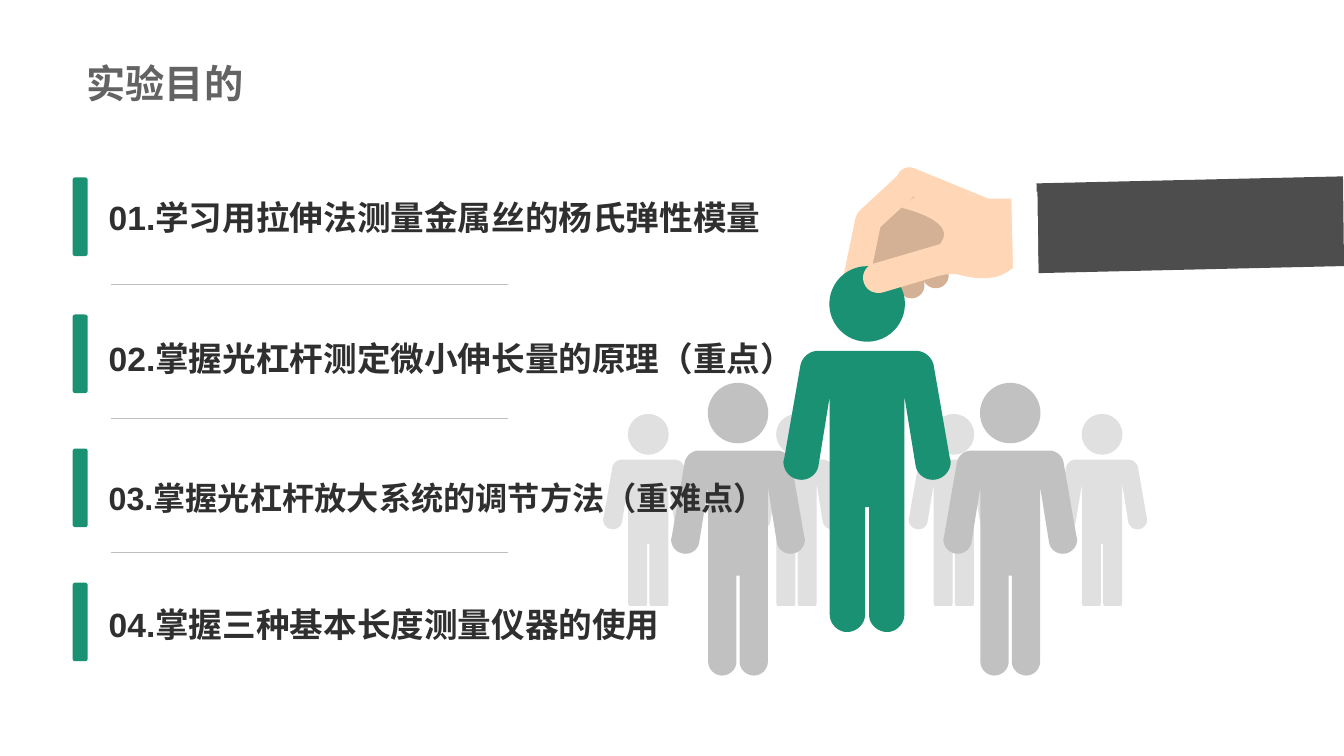
"""Build the slide on the aims of the experiment."""
from dataclasses import dataclass
from math import atan2, degrees, hypot

from pptx import Presentation
from pptx.dml.color import RGBColor
from pptx.enum import shapes as kinds, text as texts
from pptx.oxml import xmlchemy as xml
from pptx.util import Inches, Pt


@dataclass(frozen=True)
class Theme:
    """Colours, fonts and type sizes."""
    green: str = "1A9173"
    dark: str = "4D4D4D"
    mid: str = "C1C1C1"
    pale: str = "E0E0E0"
    skin: str = "FFD7B7"
    shade: str = "D4B194"
    white: str = "FFFFFF"
    rule: str = "BFBFBF"
    ink: str = "2F2F2F"
    head: str = "636363"
    latin: str = "Arial"
    asian: str = "Noto Sans CJK SC"
    title: int = 28


LOOK = Theme()
TITLE = "实验目的"
AIMS = [
    ("01.", "学习用拉伸法测量金属丝的杨氏弹性模量", 24, 1.76, 1.97),
    ("02.", "掌握光杠杆测定微小伸长量的原理（重点）", 24, 3.12, 3.37),
    ("03.", "掌握光杠杆放大系统的调节方法（重难点）", 23, 4.45, 4.75),
    ("04.", "掌握三种基本长度测量仪器的使用", 24, 5.78, 6.01),
]
BODY = [
    (0, 0), (0.48, 0), (0.57, 0, 0.64, 0.06, 0.66, 0.14), (0.82, 1.06),
    (0.83, 1.1), (0.83, 1.2, 0.75, 1.28, 0.65, 1.28),
    (0.57, 1.28, 0.49, 1.22, 0.48, 1.13), (0.37, 0.45), (0.37, 2.62),
    (0.37, 2.71, 0.29, 2.79, 0.2, 2.79), (0.1, 2.79, 0.02, 2.71, 0.02, 2.62),
    (0.02, 1.55), (0, 1.55),
]
CROWD = [
    ((10.93, 9.46, 7.9, 6.43), 4.56, 0.54, 6.01, LOOK.pale),
    ((10.02, 7.32), 4.47, 0.8, 7.5, LOOK.mid),
]
LEADER = (8.6, 3.48, 1, 7.5, LOOK.green)
SLEEVE = [(13.33, 2.64), (13.32, 1.75), (10.28, 1.82), (10.3, 2.71)]
INNER = [(9.79, 2.1), (9.03, 1.83), (8.59, 2.3), (8.61, 2.73), (9.63, 2.5)]
BACK = [
    (8.94, 2.06), (9.05, 2.09, 9.51, 2.21, 9.32, 2.43),
    (9.12, 2.66, 9.85, 2.4, 9.85, 2.4), (9.62, 1.97),
    (9.62, 1.97, 9.22, 1.75, 8.94, 2.06),
]
WRIST = [(9.64, 1.97), (9.73, 2.6), (10.12, 2.6), (10.1, 1.97)]
THUMB = [
    (9.59, 2.07), (9.8, 1.92, 10.14, 2.14, 10.17, 2.33),
    (10.21, 2.51, 10.05, 2.75, 9.79, 2.76),
    (9.49, 2.77, 9.54, 2.66, 9.23, 2.76), (8.76, 2.9),
    (8.68, 2.92, 8.6, 2.89, 8.57, 2.81), (8.54, 2.73, 8.58, 2.65, 8.65, 2.62),
    (9.33, 2.42), (9.38, 2.31, 9.46, 2.17, 9.59, 2.07),
]
CUFF = [(10.03, 1.91), (10.05, 2.72), (10.3, 2.71), (10.29, 1.9)]
FAR = [(8.72, 2.85, 8.8, 2.21), (9.04, 2.83, 8.98, 2.18)]
NEAR = [(9.8, 2.11, 9.02, 1.79), (8.62, 2.18, 9.02, 1.81), (8.48, 2.83, 8.61, 2.2)]
FOLD = (9.28, 2.73, 9.06, 2.12)


def paint(shape, color):
    """Give a shape a flat fill."""
    shape.shadow.inherit = False
    shape.fill.solid()
    shape.fill.fore_color.rgb = RGBColor.from_string(color)
    shape.line.fill.background()


def trace(steps, count=10):
    """Turn line and cubic steps into points."""
    points = [steps[0]]
    for step in steps[1:]:
        if len(step) == 2:
            points.append(step)
            continue
        knots = [points[-1], step[:2], step[2:4], step[4:]]
        for part in range(1, count + 1):
            t = part / count
            mix = ((1 - t) ** 3, 3 * t * (1 - t) ** 2, 3 * t * t * (1 - t), t ** 3)
            points.append(tuple(sum(m * k[axis] for m, k in zip(mix, knots))
                                for axis in (0, 1)))
    return points


def outline(slide, points, color):
    """Draw a closed outline."""
    spots = [(Inches(x), Inches(y)) for x, y in points]
    pen = slide.shapes.build_freeform(*spots[0])
    pen.add_line_segments(spots[1:])
    paint(pen.convert_to_shape(), color)


def block(slide, kind, box, color):
    """Draw a preset shape."""
    shape = slide.shapes.add_shape(kind, *map(Inches, box))
    paint(shape, color)
    return shape


def finger(slide, ends, color, width=0.26):
    """Draw a round-ended bar between two points."""
    x1, y1, x2, y2 = ends
    span = hypot(x2 - x1, y2 - y1) + width
    box = ((x1 + x2 - span) / 2, (y1 + y2 - width) / 2, span, width)
    bar = block(slide, kinds.MSO_SHAPE.ROUNDED_RECTANGLE, box, color)
    bar.adjustments[0] = 0.5
    bar.rotation = degrees(atan2(y2 - y1, x2 - x1))


def person(slide, mid, top, scale, floor, color):
    """Draw a head and a mirrored body."""
    size = 0.75 * scale
    block(slide, kinds.MSO_SHAPE.OVAL,
          (mid - size / 2, top - 0.84 * scale, size, size), color)
    half = trace(BODY)
    full = half + [(-x, y) for x, y in reversed(half)]
    outline(slide, [(mid + x * scale, min(top + y * scale, floor))
                    for x, y in full], color)


def style(run, size, color):
    """Format a run."""
    font = run.font
    font.name, font.size, font.bold = LOOK.latin, Pt(size), True
    font.color.rgb = RGBColor.from_string(color)
    east = xml.OxmlElement("a:ea")
    east.set("typeface", LOOK.asian)
    font._element.find(xml.qn("a:latin")).addnext(east)


def head(slide):
    """Place the title."""
    title = slide.shapes.title
    title.left, title.top, title.width, title.height = map(
        Inches, (0.76, 0, 11.81, 1.11))
    frame = title.text_frame
    frame.text = TITLE
    frame.vertical_anchor = texts.MSO_ANCHOR.BOTTOM
    line = frame.paragraphs[0]
    line.alignment, line.line_spacing = texts.PP_ALIGN.LEFT, 0.9
    style(line.runs[0], LOOK.title, LOOK.head)


def hand(slide):
    """Draw the arm and hand around the leader."""
    outline(slide, SLEEVE, LOOK.dark)
    for ends in FAR:
        finger(slide, ends, LOOK.shade)
    outline(slide, INNER, LOOK.shade)
    finger(slide, FOLD, LOOK.shade)
    for ends in NEAR:
        finger(slide, ends, LOOK.skin)
    for steps in (BACK, WRIST):
        outline(slide, trace(steps), LOOK.skin)
    person(slide, *LEADER)
    outline(slide, trace(THUMB), LOOK.skin)
    outline(slide, CUFF, LOOK.white)


def aims(slide):
    """Place the numbered aims and the rules between them."""
    for mark, words, size, top, low in AIMS:
        block(slide, kinds.MSO_SHAPE.ROUNDED_RECTANGLE,
              (0.72, top, 0.15, 0.78), LOOK.green)
        frame = slide.shapes.add_textbox(
            *map(Inches, (0.98, low, 7.4, 0.43))).text_frame
        frame.word_wrap = True
        frame.vertical_anchor = texts.MSO_ANCHOR.BOTTOM
        frame.text = mark + words
        style(frame.paragraphs[0].runs[0], size, LOOK.ink)
    for row in range(len(AIMS) - 1):
        y = Inches(2.82 + 1.33 * row)
        rule = slide.shapes.add_connector(
            kinds.MSO_CONNECTOR.STRAIGHT, Inches(1.1), y, Inches(5.04), y)
        rule.line.color.rgb = RGBColor.from_string(LOOK.rule)
        rule.line.width = Pt(0.25)
        rule._element.spPr.append(xml.OxmlElement("a:effectLst"))


def main():
    """Build and save the slide."""
    deck = Presentation()
    deck.slide_width, deck.slide_height = Inches(13.33), Inches(7.5)
    slide = deck.slides.add_slide(deck.slide_layouts[5])
    head(slide)
    for mids, *rest in CROWD:
        for mid in mids:
            person(slide, mid, *rest)
    hand(slide)
    aims(slide)
    deck.save("out.pptx")


if __name__ == "__main__":
    main()
